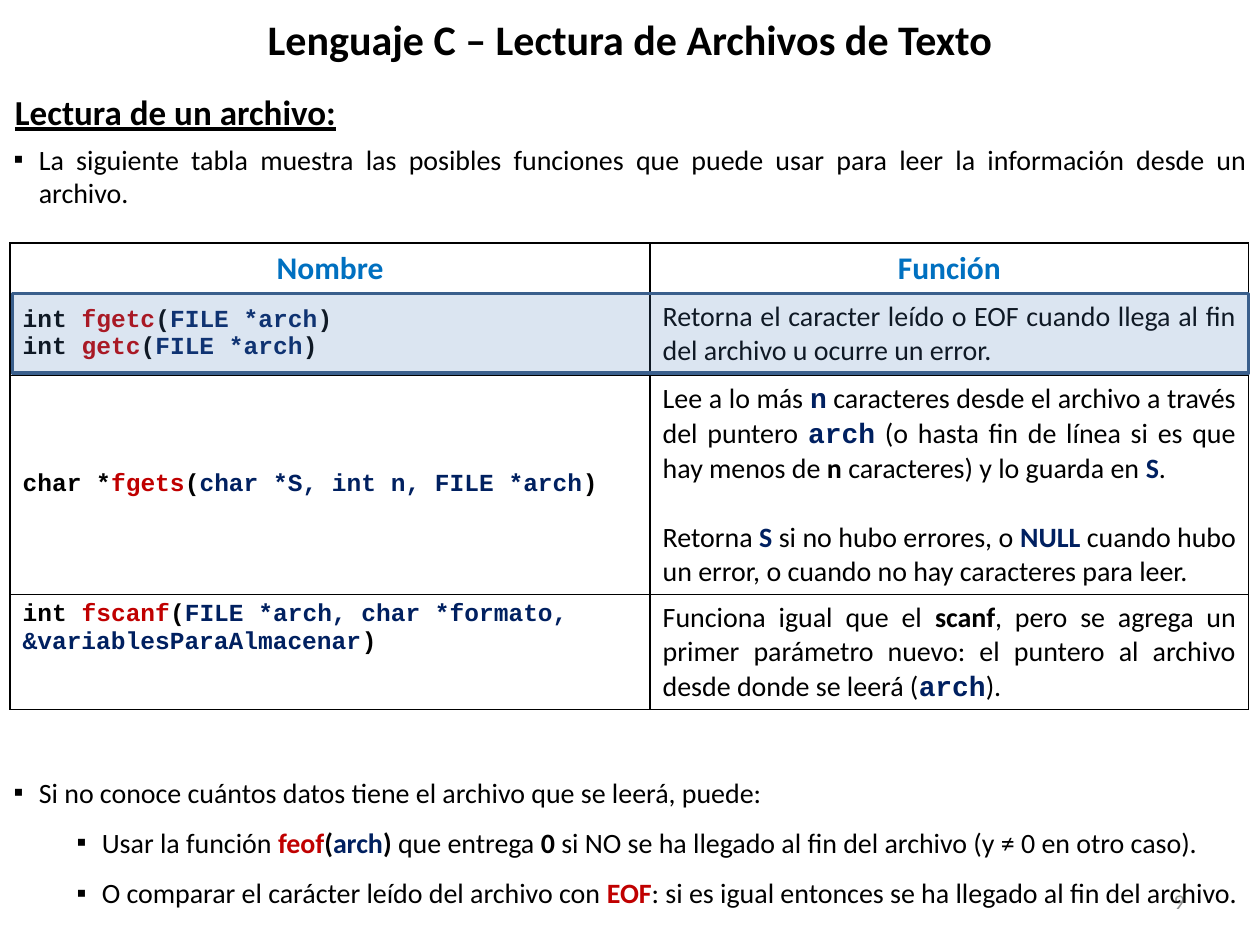
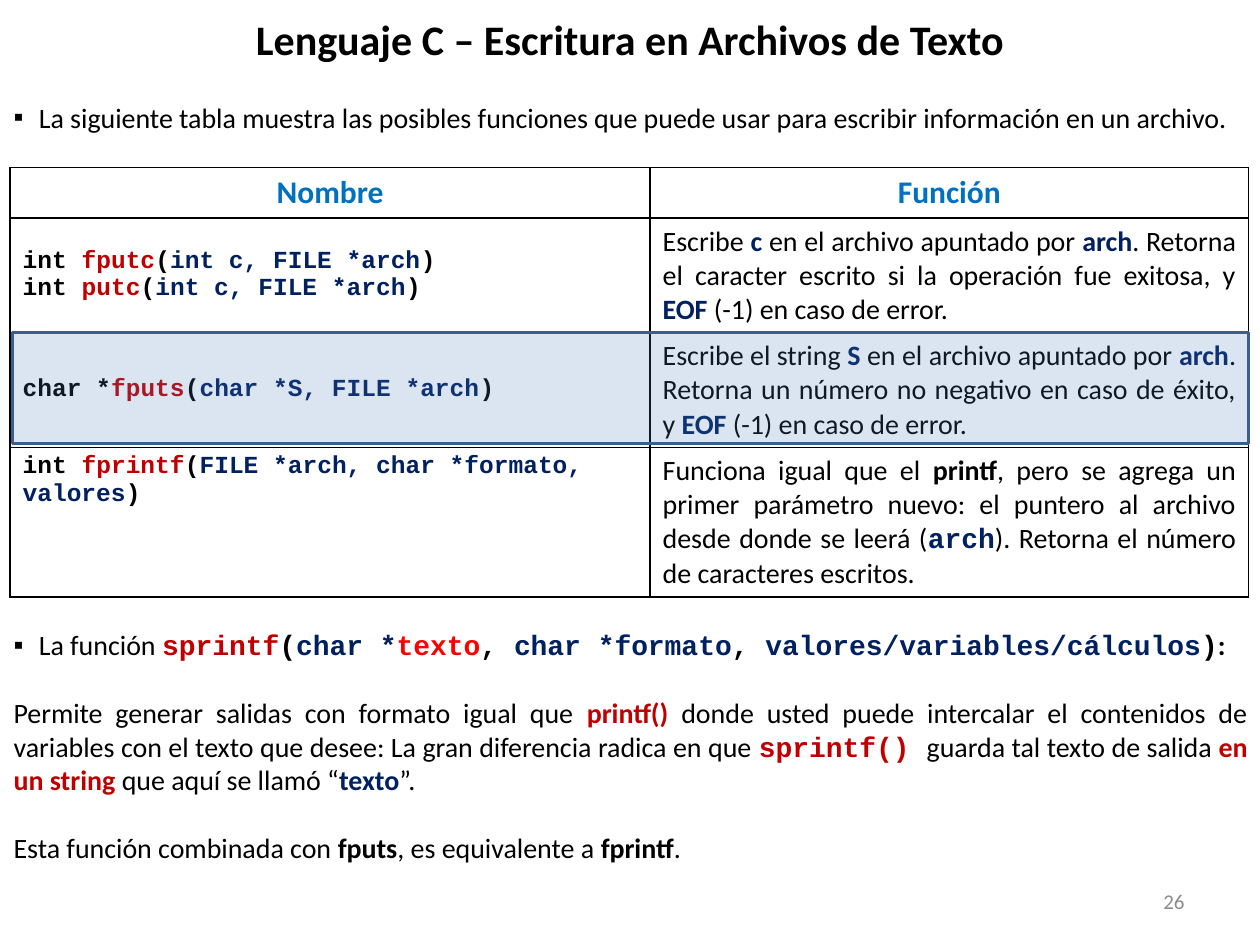
from dataclasses import dataclass

from lxml import etree
from pptx import Presentation
from pptx import util as u
from pptx.dml.color import RGBColor
from pptx.enum import shapes, text
from pptx.oxml import ns

COLS, ROWS = 100, 75  # layout grid of the slide


@dataclass(frozen=True)
class Theme:
    black: str = "000000"
    white: str = "FFFFFF"
    red: str = "C00000"
    bright: str = "FF0000"
    navy: str = "002060"
    heading: str = "0070C0"
    grey: str = "8C8C8C"
    mark_fill: str = "4F81BD"
    mark_line: str = "3A5F8C"
    font: str = "Calibri"
    mono: str = "Courier New"
    title_pt: int = 24
    section_pt: int = 20
    header_pt: int = 18
    body_pt: int = 16
    code_pt: int = 14
    number_pt: int = 12
    line_gap_pt: float = 19.5  # height of one empty body line


T = Theme()
ALIGN = {"l": text.PP_ALIGN.LEFT, "c": text.PP_ALIGN.CENTER,
         "r": text.PP_ALIGN.RIGHT, "j": text.PP_ALIGN.JUSTIFY}


def rgb(color):
    return RGBColor.from_string(color)


def sub(parent, tag, **attrs):
    return etree.SubElement(parent, ns.qn(tag), **attrs)


def add_text(p, content, size=T.body_pt, color=T.black, bold=False, font=T.font,
             underline=None, align="l", level=None, spacing=None, before=None, after=None):
    """Write one paragraph; {marks|words} is bold, marks being a colour and/or mono."""
    p.alignment = ALIGN[align]
    p.line_spacing = spacing
    p.space_before = None if before is None else u.Pt(before)
    p.space_after = None if after is None else u.Pt(after)
    if level is not None:  # bulleted paragraph
        p.level = level
        pPr = p._p.get_or_add_pPr()
        pPr.set("marL", str(u.Inches(0.2 + 0.5 * level)))
        pPr.set("indent", str(u.Inches(-0.2)))
        sub(pPr, "a:buFont", typeface="Arial")
        sub(pPr, "a:buChar", char="▪")
    for i, chunk in enumerate(content.replace("}", "{").split("{")):
        if not chunk:
            continue
        marked = i % 2 == 1
        marks, words = chunk.split("|") if marked else ("", chunk)
        r = p.add_run()
        r.text = words
        f = r.font
        f.size, f.bold, f.underline = u.Pt(size), bold or marked, underline
        f.name = T.mono if "mono" in marks else font
        named = [m for m in marks.split() if m in ("red", "navy", "bright")]
        f.color.rgb = rgb(getattr(T, named[0]) if named else color)


def fill_frame(tf, paragraphs, **fmt):
    """Each paragraph is a string, or a string with its own format."""
    for i, item in enumerate(paragraphs):
        content, own = (item, {}) if isinstance(item, str) else item
        p = tf.paragraphs[0] if i == 0 else tf.add_paragraph()
        add_text(p, content, **{**fmt, **own})


class Deck:
    def __init__(self):
        self.prs = Presentation()
        self.prs.slide_width, self.prs.slide_height = u.Inches(10), u.Inches(7.5)
        self.s = None

    def x(self, cols):
        return round(self.prs.slide_width * cols / COLS)

    def y(self, rows):
        return round(self.prs.slide_height * rows / ROWS)

    def box(self, left, top, width, height):
        return self.x(left), self.y(top), self.x(width), self.y(height)

    def slide(self, title, number):
        self.s = self.prs.slides.add_slide(self.prs.slide_layouts[6])
        self.text((71.7, 69.5, 23.3, 4), [str(number)], middle=True,
                  size=T.number_pt, color=T.grey, align="r")
        self.text((5, 0, 90, 6.2), [title], middle=True,
                  size=T.title_pt, bold=True, align="c")

    def text(self, area, paragraphs, middle=False, **fmt):
        tf = self.s.shapes.add_textbox(*self.box(*area)).text_frame
        tf.word_wrap = True
        if middle:
            tf.vertical_anchor = text.MSO_ANCHOR.MIDDLE
        else:
            tf.auto_size = text.MSO_AUTO_SIZE.SHAPE_TO_FIT_TEXT
        fill_frame(tf, paragraphs, **fmt)

    def body(self, top, height, paragraphs):
        self.text((0.1, top, 99.9, height), paragraphs, align="j")

    def cell(self, c, paragraphs, middle=False, **fmt):
        tcPr = c._tc.get_or_add_tcPr()
        for side in ("a:lnL", "a:lnR", "a:lnT", "a:lnB"):
            ln = sub(tcPr, side, w=str(u.Pt(1)))
            sub(sub(ln, "a:solidFill"), "a:srgbClr", val=T.black)
        c.fill.solid()
        c.fill.fore_color.rgb = rgb(T.white)
        if middle:
            c.vertical_anchor = text.MSO_ANCHOR.MIDDLE
        fill_frame(c.text_frame, paragraphs, **fmt)

    def function_table(self, top, heights, functions):
        area = self.box(0.8, top, 98.3, sum(heights))
        tbl = self.s.shapes.add_table(len(heights), 2, *area).table
        tbl.first_row = tbl.horz_banding = False
        for column, width in zip(tbl.columns, (50.8, 47.5)):
            column.width = self.x(width)
        for row, height in zip(tbl.rows, heights):
            row.height = self.y(height)
        for i, name in enumerate(("Nombre", "Función")):
            self.cell(tbl.cell(0, i), [name], size=T.header_pt,
                      color=T.heading, bold=True, align="c")
        for i, (code, meaning) in enumerate(functions, 1):
            self.cell(tbl.cell(i, 0), code, middle=i < len(functions),
                      size=T.code_pt, bold=True, font=T.mono)
            self.cell(tbl.cell(i, 1), meaning, align="j")

    def highlight(self, top, height):
        sp = self.s.shapes.add_shape(shapes.MSO_SHAPE.RECTANGLE,
                                     *self.box(1, top, 98.1, height))
        sp.shadow.inherit = False
        sp.fill.solid()
        sp.fill.fore_color.rgb = rgb(T.mark_fill)
        sub(sp._element.spPr.find(".//" + ns.qn("a:srgbClr")), "a:alpha", val="20000")
        sp.line.color.rgb = rgb(T.mark_line)
        sp.line.width = u.Pt(2)


def signature(kind, name, arguments):
    """Code line with the function name and its arguments coloured."""
    return f"{kind}{{red mono|{name}}}({{navy mono|{arguments}}})"


def reading_slide(d):
    d.slide("Lenguaje C – Lectura de Archivos de Texto", 9)
    d.function_table(19.3, (4, 6.5, 17.4, 9.1), [
        ([signature("int ", name, "FILE *arch") for name in ("fgetc", "getc")],
         ["Retorna el caracter leído o EOF cuando llega al fin del archivo u ocurre un error."]),
        ([signature("char *", "fgets", "char *S, int n, FILE *arch")],
         ["Lee a lo más {navy mono|n} caracteres desde el archivo a través del puntero "
          "{navy mono|arch} (o hasta fin de línea si es que hay menos de {b|n} caracteres) "
          "y lo guarda en {navy|S}.",
          ("Retorna {navy|S} si no hubo errores, o {navy|NULL} cuando hubo un error, "
           "o cuando no hay caracteres para leer.", {"before": T.line_gap_pt})]),
        ([signature("int ", "fscanf", "FILE *arch, char *formato, &variablesParaAlmacenar")],
         ["Funciona igual que el {b|scanf}, pero se agrega un primer parámetro nuevo: "
          "el puntero al archivo desde donde se leerá ({navy mono|arch})."]),
    ])
    # Introduction
    d.text((0.2, 6.7, 49.8, 4.4), ["Lectura de un archivo:"],
           size=T.section_pt, bold=True, underline=True, after=6)
    d.body(10.8, 6.4, [
        ("La siguiente tabla muestra las posibles funciones que puede usar para leer "
         "la información desde un archivo.", {"level": 0})])
    # Detecting the end of the file
    d.body(59.7, 13.1, [(words, {"level": level, "spacing": 1.5}) for level, words in (
        (0, "Si no conoce cuántos datos tiene el archivo que se leerá, puede:"),
        (1, "Usar la función {red|feof}{b|(}{navy|arch}{b|) }que entrega {b|0} si NO se ha "
            "llegado al fin del archivo (y ≠ 0 en otro caso)."),
        (1, "O comparar el carácter leído del archivo con {red|EOF}: si es igual entonces "
            "se ha llegado al fin del archivo."))])
    d.highlight(23.3, 6.3)


def writing_slide(d):
    d.slide("Lenguaje C – Escritura en Archivos de Texto", 26)
    d.function_table(13.3, (4, 9.1, 9.1, 11.9), [
        ([signature("int ", name, "int c, FILE *arch") for name in ("fputc", "putc")],
         ["Escribe {navy|c} en el archivo apuntado por {navy|arch}. Retorna el caracter "
          "escrito si la operación fue exitosa, y {navy|EOF} (-1) en caso de error."]),
        ([signature("char *", "fputs", "char *S, FILE *arch")],
         ["Escribe el string {navy|S} en el archivo apuntado por {navy|arch}. Retorna un "
          "número no negativo en caso de éxito, y {navy|EOF} (-1) en caso de error."]),
        ([signature("int ", "fprintf", "FILE *arch, char *formato, valores")],
         ["Funciona igual que el {b|printf}, pero se agrega un primer parámetro nuevo: "
          "el puntero al archivo desde donde se leerá ({navy mono|arch}). "
          "Retorna el número de caracteres escritos."]),
    ])
    # Introduction
    d.body(7.5, 3.7, [
        ("La siguiente tabla muestra las posibles funciones que puede usar para escribir "
         "información en un archivo.", {"level": 0})])
    d.highlight(26.4, 8.8)
    # Writing into a string
    gap = {"before": T.line_gap_pt}
    d.body(48, 21.2, [
        ("La función {red mono|sprintf}{mono|(}{navy mono|char *}{bright mono|texto}{mono|, }"
         "{navy mono|char *formato}{mono|, }{navy mono|valores/variables/cálculos}"
         "{mono|)}{b|:}", {"level": 0, "spacing": 1.5}),
        ("Permite generar salidas con formato igual que {red|printf() }donde usted puede "
         "intercalar el contenidos de variables con el texto que desee: La gran diferencia "
         "radica en que {red mono|sprintf() }guarda tal texto de salida {red|en un string} "
         "que aquí se llamó “{navy|texto}”.", gap),
        ("Esta función combinada con {b|fputs}, es equivalente a {b|fprintf}.", gap)])


def main():
    d = Deck()
    reading_slide(d)
    writing_slide(d)
    d.prs.save("out.pptx")


if __name__ == "__main__":
    main()
